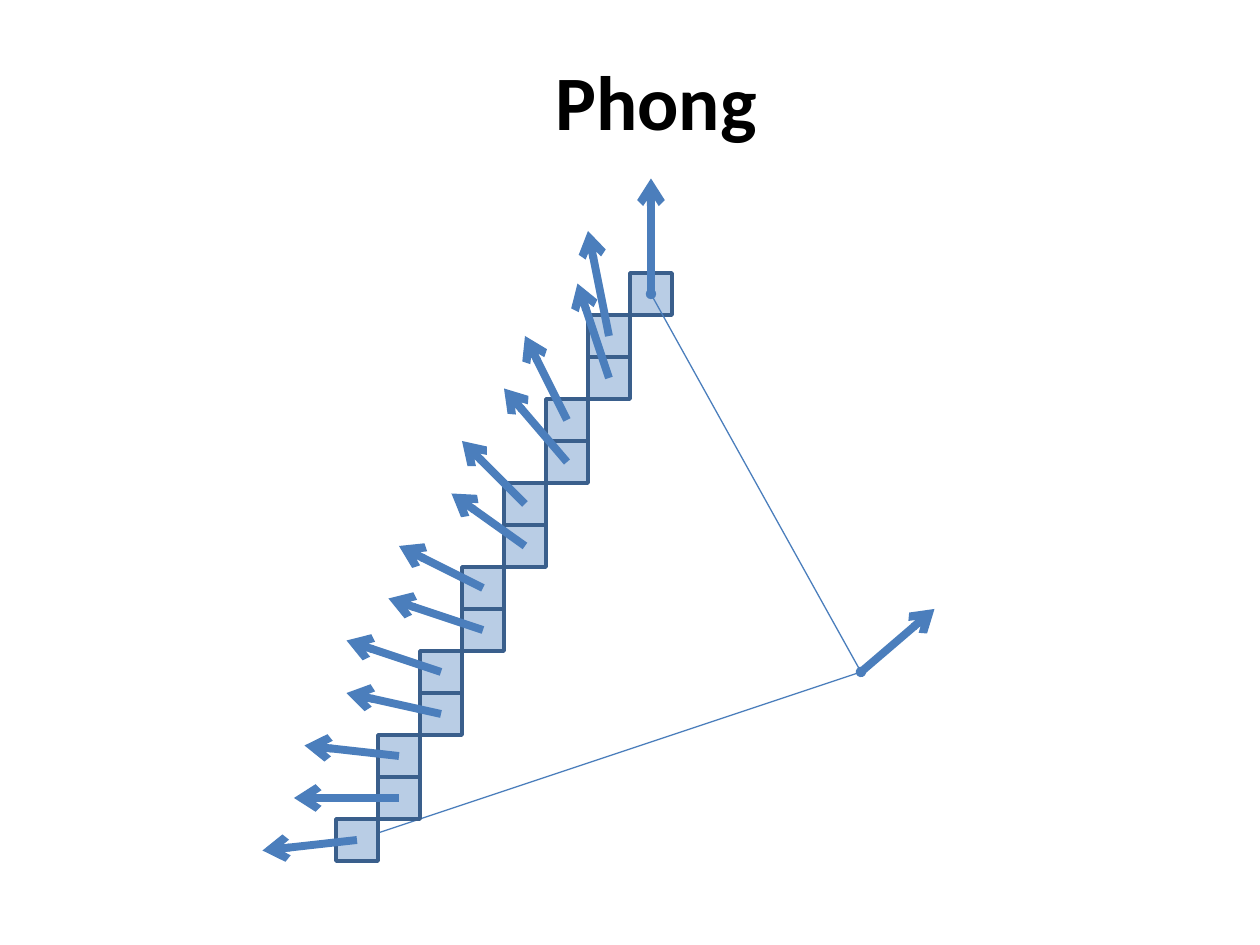
import pptx
import pptx.util
import pptx.dml.color
import pptx.enum.shapes
import pptx.enum.text
import pptx.oxml
import pptx.oxml.ns
from pptx.util import Cm, Pt

STEP = 2.54 / 12
CELL = 4
LINE_COLOR = "4B7EBC"
EYE = (82, 64)
NORMALS = [
    (-9, 1), (-10, 0), (-9, -1), (-9, -2), (-9, -3), (-9, -3), (-8, -4),
    (-7, -5), (-6, -6), (-6, -7), (-4, -8), (-3, -9), (-2, -10), (0, -11),
]


def rgb(value):
    return pptx.dml.color.RGBColor.from_string(value)


def grid(steps):
    return Cm(steps * STEP)


def pixel_center(index):
    return 34 + CELL * ((index + 1) // 2), 80 - CELL * index


def add_title(s, text):
    sp = s.shapes.title
    sp.left, sp.top, sp.width, sp.height = Cm(8.25), Cm(0.42), Cm(9.95), Cm(3.18)
    tf = sp.text_frame
    tf.text = text
    tf.vertical_anchor = pptx.enum.text.MSO_ANCHOR.MIDDLE
    p = tf.paragraphs[0]
    p.alignment = pptx.enum.text.PP_ALIGN.CENTER
    r = p.runs[0]
    r.font.name = "Calibri"
    r.font.size = Pt(44)
    r.font.bold = True
    r.font.color.rgb = rgb("000000")


def add_pixel(s, center):
    x, y = center
    sp = s.shapes.add_shape(
        pptx.enum.shapes.MSO_SHAPE.RECTANGLE,
        grid(x - CELL / 2), grid(y - CELL / 2), grid(CELL), grid(CELL),
    )
    sp.shadow.inherit = False
    sp.fill.solid()
    sp.fill.fore_color.rgb = rgb("B9CDE5")
    sp.line.color.rgb = rgb("3A5F8C")
    sp.line.width = Pt(2)


def add_line(s, start, end, width, end_tag, end_type):
    sp = s.shapes.add_connector(
        pptx.enum.shapes.MSO_CONNECTOR.STRAIGHT,
        *(grid(v) for v in (*start, *end)),
    )
    sp.line.color.rgb = rgb(LINE_COLOR)
    sp.line.width = Pt(width)
    ln = sp.line._get_or_add_ln()
    ln.append(pptx.oxml.parse_xml(
        f'<a:{end_tag} {pptx.oxml.ns.nsdecls("a")} type="{end_type}"/>'
    ))
    sp._element.spPr.append(pptx.oxml.parse_xml(
        f'<a:effectLst {pptx.oxml.ns.nsdecls("a")}/>'
    ))


def add_edge(s, start, end):
    add_line(s, start, end, 0.75, "headEnd", "oval")


def add_normal(s, start, offset):
    end = start[0] + offset[0], start[1] + offset[1]
    add_line(s, start, end, 4.5, "tailEnd", "arrow")


def main():
    prs = pptx.Presentation()
    prs.slide_width, prs.slide_height = Cm(25.4), Cm(19.05)
    s = prs.slides.add_slide(prs.slide_layouts[5])
    add_title(s, "Phong")

    centers = [pixel_center(i) for i in range(len(NORMALS))]
    add_edge(s, EYE, centers[0])
    for center in centers:
        add_pixel(s, center)
    for center, offset in zip(centers, NORMALS):
        add_normal(s, center, offset)
    add_normal(s, EYE, (7, -6))
    add_edge(s, centers[-1], EYE)

    prs.save("out.pptx")


if __name__ == "__main__":
    main()
